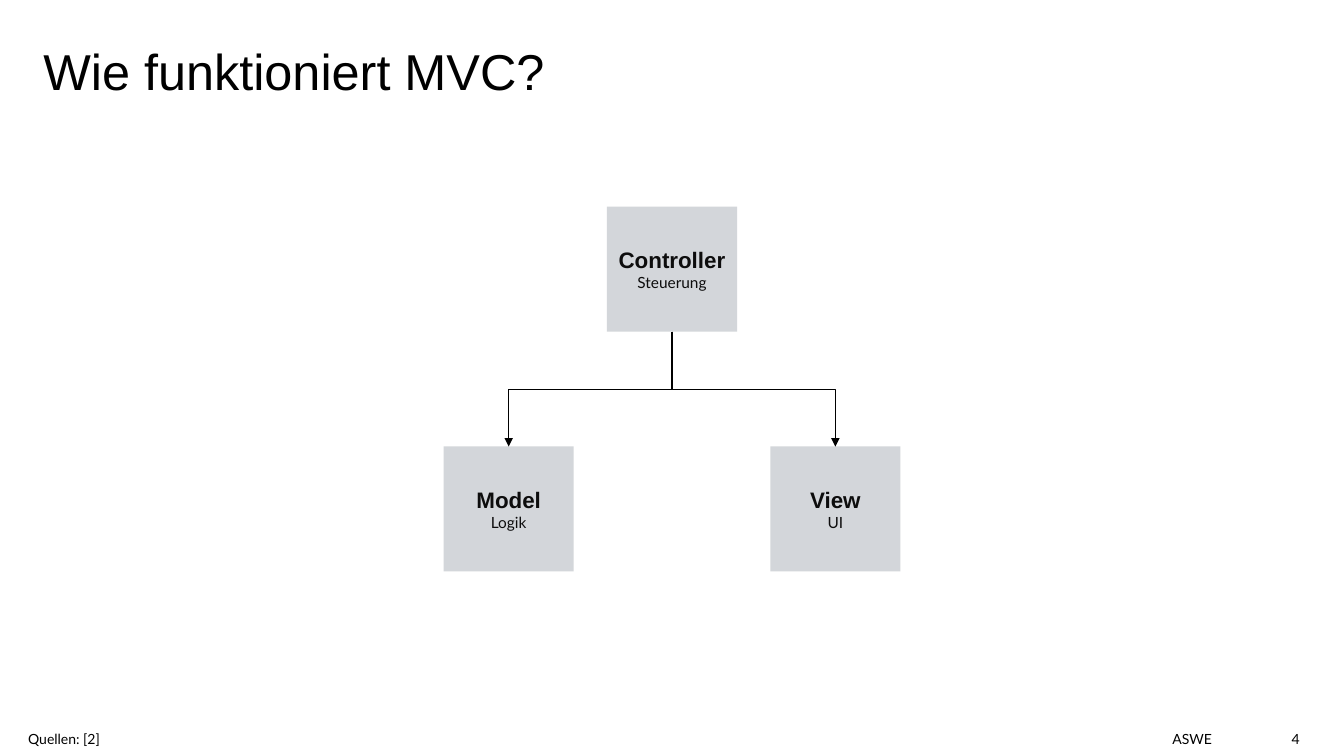
from dataclasses import dataclass

from lxml import etree
from pptx import Presentation
from pptx.dml.color import RGBColor
from pptx.enum import shapes, text
from pptx.oxml import ns
from pptx.util import Inches, Pt

BLACK = RGBColor(0x00, 0x00, 0x00)
INK = RGBColor(0x0D, 0x0D, 0x0D)
GREY = RGBColor(0xD3, 0xD6, 0xDA)
LEFT, MID, RIGHT = text.PP_ALIGN.LEFT, text.PP_ALIGN.CENTER, text.PP_ALIGN.RIGHT

WIDE, HIGH = 13.33, 7.5
BOX_W, BOX_H = 1.29, 1.24
AXIS, REACH = WIDE / 2, 1.62  # centre of the tree, offset of its branches
TOP, LOW = 2.05, 4.43


@dataclass
class Part:
    name: str
    role: str
    mid: float
    top: float


@dataclass
class Note:
    words: str
    left: float
    top: float
    width: float
    height: float
    align: text.PP_ALIGN


def add_run(para, words: str, size: int, font: str, color: RGBColor,
            bold: bool = False) -> None:
    run = para.add_run()
    run.text = words
    run.font.size, run.font.name, run.font.bold = Pt(size), font, bold
    run.font.color.rgb = color


def clear_frame(frame) -> None:
    frame.margin_left = frame.margin_right = 0
    frame.margin_top = frame.margin_bottom = 0
    frame.word_wrap = True
    frame.auto_size = text.MSO_AUTO_SIZE.NONE


def add_part(slide, part: Part):
    box = slide.shapes.add_shape(
        shapes.MSO_SHAPE.RECTANGLE, Inches(part.mid - BOX_W / 2),
        Inches(part.top), Inches(BOX_W), Inches(BOX_H))
    box.shadow.inherit = False
    box.fill.solid()
    box.fill.fore_color.rgb = GREY
    box.line.fill.background()
    frame = box.text_frame
    frame.word_wrap = True
    frame.vertical_anchor = text.MSO_ANCHOR.MIDDLE
    head, sub = frame.paragraphs[0], frame.add_paragraph()
    head.alignment = sub.alignment = MID
    add_run(head, part.name, 16, "Arial", INK, True)
    add_run(sub, part.role, 11, "Lato", INK)
    return box


def add_link(slide, start, end, side: int) -> None:
    """Elbow from the bottom of start to the top of end; side is -1 or 1."""
    link = slide.shapes.add_connector(shapes.MSO_CONNECTOR.ELBOW, 0, 0, 0, 0)
    link.begin_connect(start, 2)
    link.end_connect(end, 0)
    # A quarter turn makes the elbow leave downwards
    drop = LOW - TOP - BOX_H
    link.left = Inches(AXIS + side * REACH / 2 - drop / 2)
    link.top = Inches(LOW - drop / 2 - REACH / 2)
    link.width, link.height = Inches(drop), Inches(REACH)
    props = link._element.spPr
    frame = props.find(ns.qn("a:xfrm"))
    for flip in ("flipH", "flipV"):
        frame.attrib.pop(flip, None)
    frame.set("rot", str((90 if side < 0 else 270) * 60000))
    if side > 0:
        frame.set("flipH", "1")
    # Line and arrowhead
    link.line.width = Pt(0.75)
    link.line.color.rgb = BLACK
    tip = etree.SubElement(props.find(ns.qn("a:ln")), ns.qn("a:tailEnd"))
    tip.set("type", "triangle")
    etree.SubElement(props, ns.qn("a:effectLst"))


def add_note(slide, note: Note) -> None:
    box = slide.shapes.add_textbox(Inches(note.left), Inches(note.top),
                                   Inches(note.width), Inches(note.height))
    frame = box.text_frame
    clear_frame(frame)
    frame.vertical_anchor = text.MSO_ANCHOR.MIDDLE
    para = frame.paragraphs[0]
    para.alignment = note.align
    para.space_after = Pt(6)
    add_run(para, note.words, 10, "Lato", BLACK)


def main() -> None:
    deck = Presentation()
    deck.slide_width, deck.slide_height = Inches(WIDE), Inches(HIGH)
    slide = deck.slides.add_slide(deck.slide_layouts[5])

    # Title
    title = slide.shapes.title
    title.left, title.top = Inches(0.43), Inches(0.4)
    title.width, title.height = Inches(7.02), Inches(1.1)
    clear_frame(title.text_frame)
    title.text_frame.vertical_anchor = text.MSO_ANCHOR.TOP
    para = title.text_frame.paragraphs[0]
    para.alignment = LEFT
    add_run(para, "Wie funktioniert MVC?", 36, "Arial", BLACK)

    # Tree
    root = add_part(slide, Part("Controller", "Steuerung", AXIS, TOP))
    for name, role, side in (("Model", "Logik", -1), ("View", "UI", 1)):
        leaf = add_part(slide, Part(name, role, AXIS + side * REACH, LOW))
        add_link(slide, root, leaf, side)

    # Footer
    for note in (Note("Quellen: [2]", 0.28, 7.24, 3.36, 0.18, LEFT),
                 Note("ASWE", 3.44, 7.18, 8.58, 0.31, RIGHT),
                 Note("4", 12.54, 7.18, 0.35, 0.31, RIGHT)):
        add_note(slide, note)

    deck.save("out.pptx")


if __name__ == "__main__":
    main()
